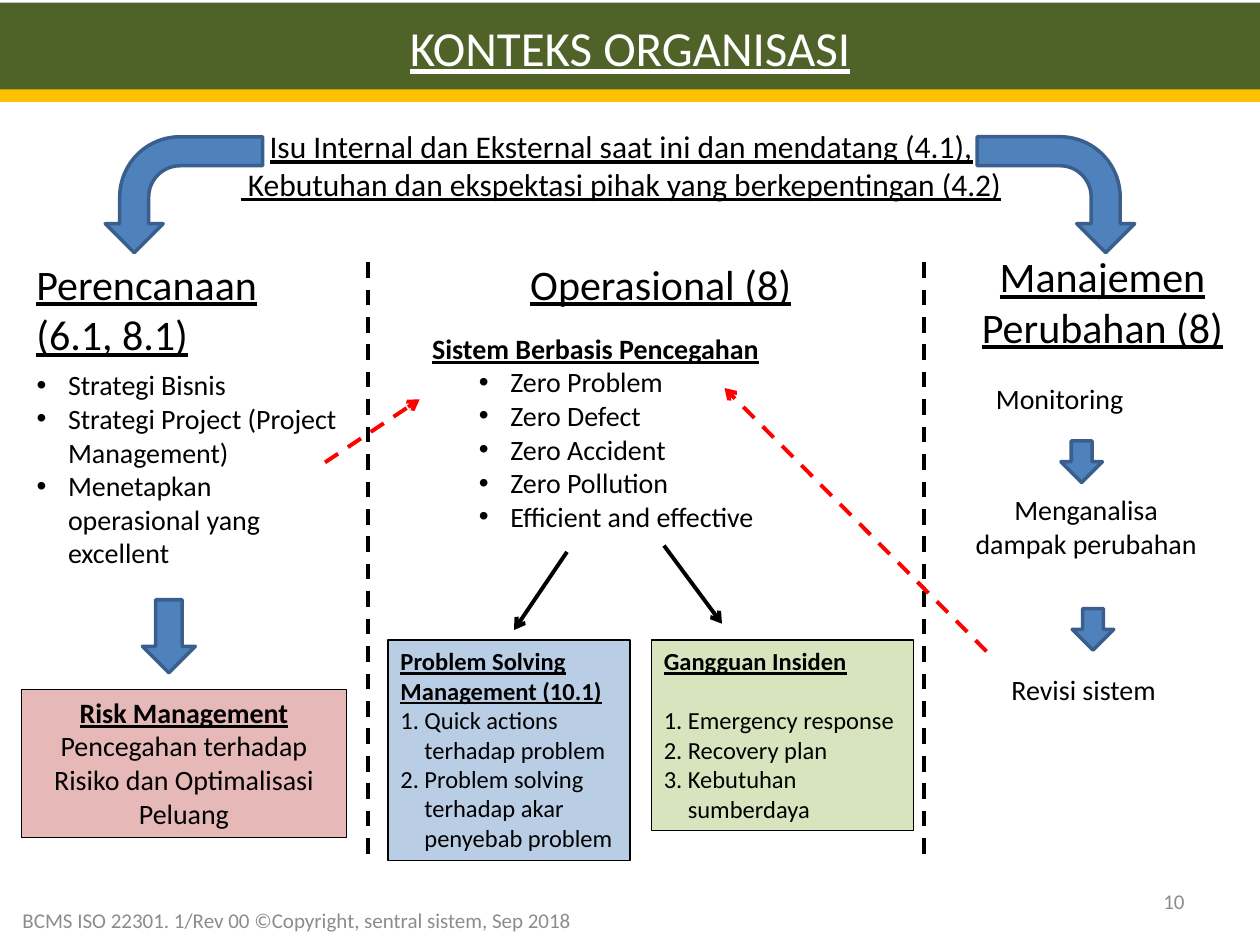
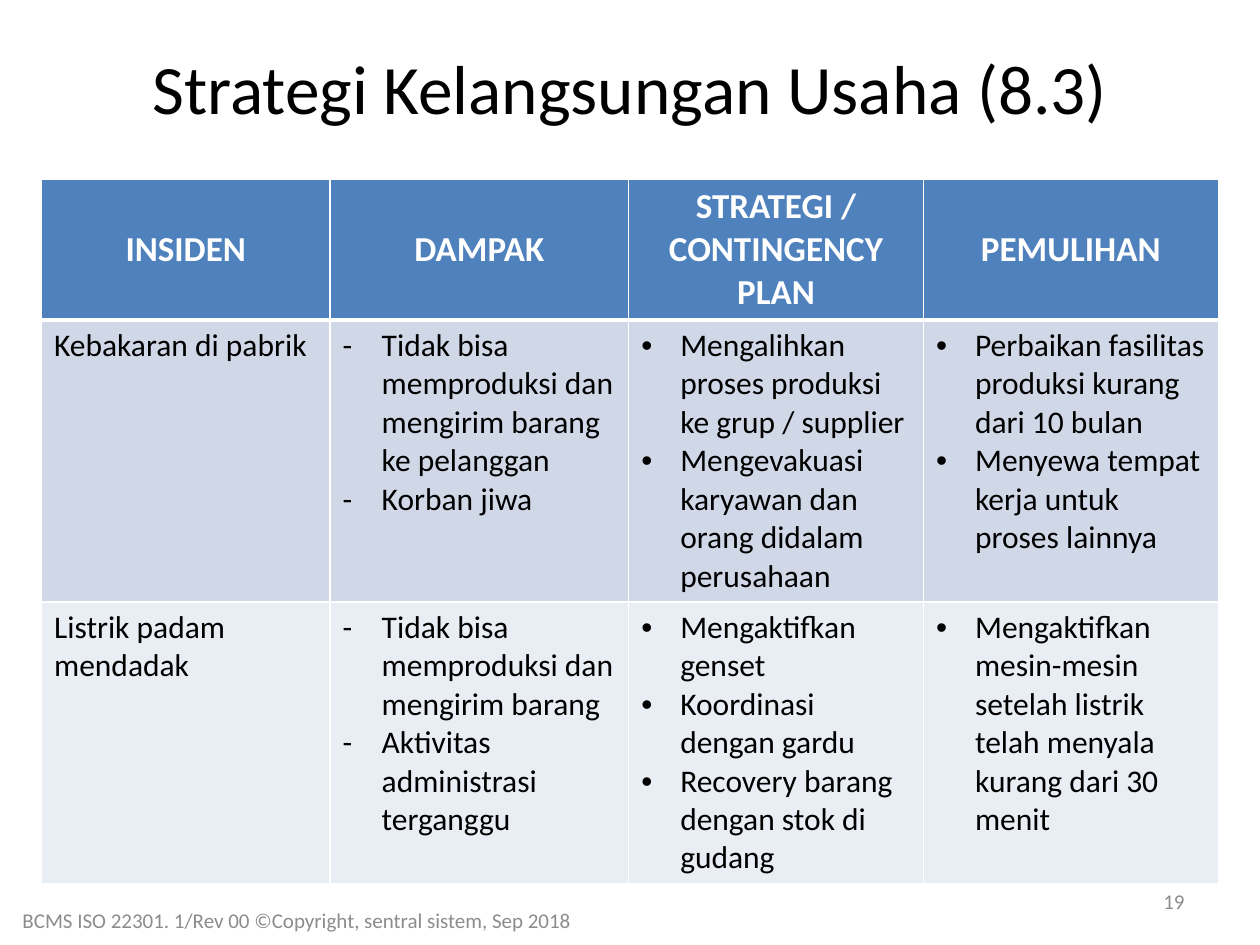
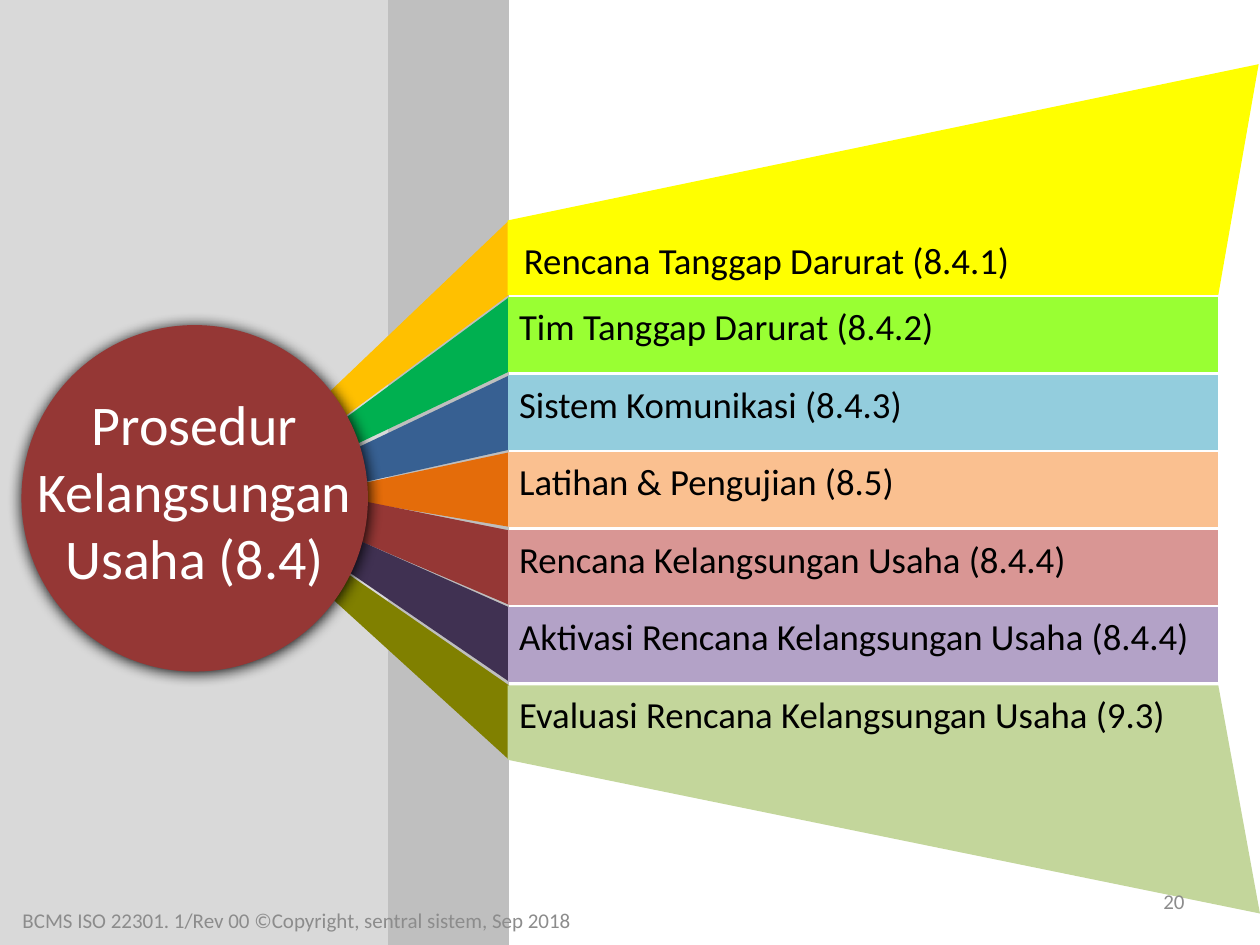
from dataclasses import dataclass

from lxml import etree
from pptx import Presentation
from pptx.dml.color import RGBColor
from pptx.enum.dml import MSO_LINE
from pptx.enum.shapes import MSO_CONNECTOR, MSO_SHAPE
from pptx.enum.text import MSO_ANCHOR, MSO_AUTO_SIZE, PP_ALIGN
from pptx.oxml.ns import qn
from pptx.util import Pt

SCALE = 9144
RECT, OVAL = MSO_SHAPE.RECTANGLE, MSO_SHAPE.OVAL
DOWN, BENT = MSO_SHAPE.DOWN_ARROW, MSO_SHAPE.BENT_ARROW
STRAIGHT, DASH = MSO_CONNECTOR.STRAIGHT, MSO_LINE.DASH
LEFT, CENTER, RIGHT = PP_ALIGN.LEFT, PP_ALIGN.CENTER, PP_ALIGN.RIGHT
TOP, MIDDLE = MSO_ANCHOR.TOP, MSO_ANCHOR.MIDDLE
NO_FIT = MSO_AUTO_SIZE.NONE
TWO_CONTENT, TITLE_ONLY = 3, 5


@dataclass(frozen=True)
class Theme:
    """Colours and type sizes of the deck."""
    font: str = "Calibri"
    ink: str = "000000"
    paper: str = "FFFFFF"
    muted: str = "8C8C8C"
    banner: str = "4F6228"
    gold: str = "FFC000"
    accent: str = "4F81BD"
    accent_line: str = "3A5F8C"
    alert: str = "FF0000"
    risk: str = "E6B9B8"
    problem: str = "B9CDE5"
    incident: str = "D7E4BD"
    table_rows: tuple = ("D0D8E8", "E9EDF4")
    side: str = "D9D9D9"
    side_dark: str = "BFBFBF"
    hub: str = "953735"
    rays: tuple = ("FFC000", "00B050", "376092", "E46C0A", "953735", "403152", "808000")
    bands: tuple = ("FFFF00", "99FF33", "93CDDD", "FAC090", "D99694", "B3A2C7", "C3D69B")
    title: float = 39.6
    hub_size: int = 32
    banner_size: int = 28
    heading: int = 24
    band_size: int = 21
    table_head: int = 20
    lead: int = 18
    body: int = 16
    small: int = 14
    footer: int = 12


def px(*values):
    """Turn px into EMU."""
    return [v * SCALE for v in values]


def rgb(value):
    """Turn a hex string into a colour."""
    return RGBColor.from_string(value)


def child(parent, tag, **attrs):
    """Append a drawing element with attributes."""
    return etree.SubElement(parent, qn(tag), {k: str(v) for k, v in attrs.items()})


class Deck:
    """Builds slides in one style."""

    def __init__(self, theme):
        """Start an empty presentation."""
        self.theme = theme
        self.prs = Presentation()
        self.prs.slide_width, self.prs.slide_height = px(1000, 750)
        self.s = None

    def slide(self, layout):
        """Add a slide and make it current."""
        self.s = self.prs.slides.add_slide(self.prs.slide_layouts[layout])

    def put(self, tf, text, size=None, color=None, bold=False, underline=False,
            align=LEFT, bullet=None, indent=0, hang=0, spacing=1.0, after=0):
        """Append one paragraph, or one for each item of a list."""
        for line in [text] if isinstance(text, str) else text:
            p = tf.paragraphs[-1]
            if p.runs:
                p = tf.add_paragraph()
            p_pr = p._p.get_or_add_pPr()
            p_pr.set("marL", str(indent * SCALE))
            p_pr.set("indent", str(-hang * SCALE))
            if bullet == "1.":
                child(p_pr, "a:buFont", typeface=self.theme.font)
                child(p_pr, "a:buAutoNum", type="arabicPeriod")
            elif bullet:
                child(p_pr, "a:buFont", typeface="Arial" if bullet == "•" else self.theme.font)
                child(p_pr, "a:buChar", char=bullet)
            else:
                child(p_pr, "a:buNone")
            p.alignment, p.line_spacing = align, spacing
            p.space_before, p.space_after = Pt(0), Pt(after)
            r = p.add_run()
            r.text = line
            f = r.font
            f.name, f.size = self.theme.font, Pt(size or self.theme.body)
            f.bold, f.underline = bold, underline
            f.color.rgb = rgb(color or self.theme.ink)

    def frame(self, sp, anchor=TOP):
        """Wrap the text of a shape at a fixed size."""
        tf = sp.text_frame
        tf.word_wrap, tf.auto_size, tf.vertical_anchor = True, NO_FIT, anchor
        return tf

    def placeholder(self, idx, box, anchor=TOP):
        """Move a template placeholder to the front and return it."""
        sp = self.s.placeholders[idx]
        sp.left, sp.top, sp.width, sp.height = px(*box)
        self.s.shapes._spTree.append(sp._element)
        self.frame(sp, anchor)
        return sp

    def title(self, text, box, fill=None, **fmt):
        """Fill the title placeholder."""
        sp = self.placeholder(0, box, MIDDLE)
        if fill:
            sp.fill.solid()
            sp.fill.fore_color.rgb = rgb(fill)
        self.put(sp.text_frame, text, align=CENTER, **fmt)

    def body(self, idx, box):
        """Return the text frame of a body placeholder."""
        return self.placeholder(idx, box).text_frame

    def text(self, text, box, anchor=TOP, **fmt):
        """Add a text box."""
        tf = self.frame(self.s.shapes.add_textbox(*px(*box)), anchor)
        self.put(tf, text, **fmt)

    def paint(self, sp, fill, line=None, width=0.75):
        """Set fill and outline and drop the shadow."""
        sp.shadow.inherit = False
        sp.fill.solid()
        sp.fill.fore_color.rgb = rgb(fill)
        if line:
            sp.line.color.rgb, sp.line.width = rgb(line), Pt(width)
        else:
            sp.line.fill.background()
        self.frame(sp)
        return sp

    def shape(self, kind, box, fill, line=None, width=0.75):
        """Add a preset shape."""
        return self.paint(self.s.shapes.add_shape(kind, *px(*box)), fill, line, width)

    def panel(self, box, fill):
        """Add an outlined box and return its text frame."""
        return self.shape(RECT, box, fill, self.theme.ink).text_frame

    def block_arrow(self, kind, box):
        """Add a blue block arrow."""
        return self.shape(kind, box, self.theme.accent, self.theme.accent_line, 2)

    def bent_arrow(self, box, flip=False):
        """Add a bent arrow that turns downwards."""
        sp = self.block_arrow(BENT, box)
        sp.rotation = 90
        sp.adjustments[3] = 0.52
        if flip:
            sp._element.spPr.xfrm.set("flipV", "1")

    def polygon(self, points, fill):
        """Add a closed outline."""
        fb = self.s.shapes.build_freeform(*points[0], scale=SCALE)
        fb.add_line_segments(points[1:], close=True)
        return self.paint(fb.convert_to_shape(), fill)

    def line(self, start, end, color=None, dashed=False, arrow=False):
        """Add a straight line or arrow."""
        c = self.s.shapes.add_connector(STRAIGHT, *px(*start, *end))
        c.line.color.rgb, c.line.width = rgb(color or self.theme.ink), Pt(2.25)
        if dashed:
            c.line.dash_style = DASH
        if arrow:
            child(c.line._get_or_add_ln(), "a:tailEnd", type="arrow")
        child(c._element.spPr, "a:effectLst")

    def cell(self, cell, fill, top=1, bottom=1):
        """Set the borders and fill of a table cell."""
        tc_pr = cell._tc.get_or_add_tcPr()
        for side, width in zip("LRTB", (1, 1, top, bottom)):
            ln = child(tc_pr, f"a:ln{side}", w=Pt(width))
            child(child(ln, "a:solidFill"), "a:srgbClr", val=self.theme.paper)
        cell.fill.solid()
        cell.fill.fore_color.rgb = rgb(fill)

    def table(self, origin, widths, heights, header, rows, bullets):
        """Add a table whose columns each have their own bullet."""
        t = self.theme
        table = self.s.shapes.add_table(len(heights), len(widths), *px(
            *origin, sum(widths), sum(heights))).table
        for col, width in zip(table.columns, widths):
            col.width = width * SCALE
        for row, height in zip(table.rows, heights):
            row.height = height * SCALE
        for c, text in enumerate(header):
            cell = table.cell(0, c)
            self.cell(cell, t.accent, bottom=3)
            cell.vertical_anchor = MIDDLE
            self.put(cell.text_frame, text, size=t.table_head, color=t.paper,
                     bold=True, align=CENTER)
        for r, (row, fill) in enumerate(zip(rows, t.table_rows), 1):
            for c, (text, bullet) in enumerate(zip(row, bullets)):
                cell = table.cell(r, c)
                self.cell(cell, fill, top=3 if r == 1 else 1)
                hang = 31 if bullet else 0
                self.put(cell.text_frame, text, size=t.lead, bullet=bullet,
                         indent=hang, hang=hang)

    def footer(self, number):
        """Add the copyright line and slide number."""
        fmt = dict(anchor=MIDDLE, size=self.theme.footer, color=self.theme.muted)
        self.text("BCMS ISO 22301. 1/Rev 00 ©Copyright, sentral sistem, Sep 2018",
                  (8, 710, 642, 40), **fmt)
        self.text(str(number), (717, 695, 233, 40), align=RIGHT, **fmt)


def context_slide(deck):
    """Build the organisation context diagram."""
    t = deck.theme
    deck.slide(TWO_CONTENT)
    deck.title("KONTEKS ORGANISASI", (0, 2, 1000, 71), fill=t.banner,
               size=t.banner_size, color=t.paper, underline=True)
    deck.shape(RECT, (0, 71, 1000, 10), t.gold)
    deck.text(["Isu Internal dan Eksternal saat ini dan mendatang (4.1),",
               " Kebutuhan dan ekspektasi pihak yang berkepentingan (4.2)"],
              (125, 96, 736, 71), size=t.lead, underline=True, align=CENTER)

    for text, box, align in (
            ("Perencanaan (6.1, 8.1)", (19, 200, 254, 91), LEFT),
            ("Operasional (8)", (411, 200, 238, 50), LEFT),
            ("Manajemen Perubahan (8)", (756, 194, 238, 91), CENTER)):
        deck.text(text, box, size=t.heading, underline=True, align=align)
    deck.put(deck.body(1, (19, 287, 267, 172)),
             ["Strategi Bisnis", "Strategi Project (Project Management)",
              "Menetapkan operasional yang excellent"],
             bullet="•", indent=25, hang=25)
    tf = deck.body(2, (333, 258, 375, 172))
    deck.put(tf, "Sistem Berbasis Pencegahan", bold=True, underline=True)
    deck.put(tf, ["Zero Problem", "Zero Defect", "Zero Accident", "Zero Pollution",
                  "Efficient and effective"], bullet="•", indent=62, hang=25)
    for text, box in (("Monitoring", (737, 298, 208, 37)),
                      ("Menganalisa dampak perubahan", (758, 386, 208, 64)),
                      ("Revisi sistem", (756, 529, 208, 37))):
        deck.text(text, box, align=CENTER)

    tf = deck.panel((17, 547, 258, 118), t.risk)
    deck.put(tf, "Risk Management", bold=True, underline=True, align=CENTER)
    deck.put(tf, "Pencegahan terhadap Risiko dan Optimalisasi Peluang", align=CENTER)
    for box, fill, heading, after, items in (
            ((308, 508, 192, 175), t.problem, "Problem Solving Management (10.1)", 0,
             ["Quick actions terhadap problem",
              "Problem solving terhadap akar penyebab problem"]),
            ((517, 508, 208, 151), t.incident, "Gangguan Insiden", 17,
             ["Emergency response", "Recovery plan", "Kebutuhan sumberdaya"])):
        tf = deck.panel(box, fill)
        deck.put(tf, heading, size=t.small, bold=True, underline=True, after=after)
        deck.put(tf, items, size=t.small, bullet="1.", indent=19, hang=19)

    for box in ((113, 476, 42, 58), (842, 350, 33, 33), (851, 483, 33, 33)):
        deck.block_arrow(DOWN, box)
    deck.bent_arrow((792, 92, 92, 125))
    deck.bent_arrow((100, 92, 92, 125), flip=True)
    for x in (292, 733):
        deck.line((x, 208), (x, 683), dashed=True)
    deck.line((450, 438), (408, 500), arrow=True)
    deck.line((527, 433), (573, 495), arrow=True)
    deck.line((783, 517), (575, 308), t.alert, dashed=True, arrow=True)
    deck.line((258, 367), (333, 317), t.alert, dashed=True, arrow=True)
    deck.footer(10)


def strategy_slide(deck):
    """Build the continuity strategy table."""
    deck.slide(TITLE_ONLY)
    deck.title("Strategi Kelangsungan Usaha (8.3)", (50, 30, 900, 78),
               size=deck.theme.title)
    rows = (
        ("Kebakaran di pabrik",
         ["Tidak bisa memproduksi dan mengirim barang ke pelanggan", "Korban jiwa"],
         ["Mengalihkan proses produksi ke grup / supplier",
          "Mengevakuasi karyawan dan orang didalam perusahaan"],
         ["Perbaikan fasilitas produksi kurang dari 10 bulan",
          "Menyewa tempat kerja untuk proses lainnya"]),
        ("Listrik padam mendadak",
         ["Tidak bisa memproduksi dan mengirim barang",
          "Aktivitas administrasi terganggu"],
         ["Mengaktifkan genset", "Koordinasi dengan gardu",
          "Recovery barang dengan stok di gudang"],
         "Mengaktifkan mesin-mesin setelah listrik telah menyala kurang dari 30 menit"))
    deck.table((33, 142), (229, 237, 234, 234), (112, 223, 223),
               ("INSIDEN", "DAMPAK", "STRATEGI / CONTINGENCY PLAN", "PEMULIHAN"),
               rows, (None, "-", "•", "•"))
    deck.footer(19)


def procedure_slide(deck):
    """Build the fan of continuity procedures."""
    t = deck.theme
    deck.slide(TITLE_ONLY)
    deck.shape(RECT, (0, 0, 308, 750), t.side)
    deck.shape(RECT, (308, 0, 96, 750), t.side_dark)

    labels = ("Rencana Tanggap Darurat (8.4.1)", "Tim Tanggap Darurat (8.4.2)",
              "Sistem Komunikasi (8.4.3)", "Latihan & Pengujian (8.5)",
              "Rencana Kelangsungan Usaha (8.4.4)",
              "Aktivasi Rencana Kelangsungan Usaha (8.4.4)",
              "Evaluasi Rencana Kelangsungan Usaha (9.3)")
    ray_tips = (((226, 345), (223, 368)), ((228, 366), (221, 382)),
                ((215, 388), (216, 399)), ((257, 390), (237, 390)),
                ((220, 384), (219, 401)), ((222, 401), (227, 420)),
                ((222, 418), (225, 440)))
    edges = [(top, top + 59) for top in (175 + i * 123 // 2 for i in range(len(labels)))]
    for i in (3, 4, 5, 6, 2, 1, 0):
        top, bottom = edges[i]
        upper, lower = ray_tips[i]
        deck.polygon([upper, lower, (404, bottom), (404, top)], t.rays[i])

    hub = deck.shape(OVAL, (17, 258, 275, 275), t.hub)
    effects = hub._element.spPr.find(qn("a:effectLst"))
    shadow = child(effects, "a:outerShdw", blurRad=12 * SCALE, dist=SCALE,
                   dir=5400000, rotWithShape=0)
    child(shadow, "a:srgbClr", val=t.ink)

    fmt = dict(size=t.band_size, spacing=0.9)
    first, last = 0, len(labels) - 1
    for i, (label, (top, bottom)) in enumerate(zip(labels, edges)):
        upper = (999, 51) if i == first else (967, top)
        lower = (1000, 725) if i == last else (967, bottom)
        band = deck.polygon([(403, top), upper, lower, (403, bottom)], t.bands[i])
        if i == first:
            deck.text(label, (406, 188, 408, 42), **fmt)
        else:
            tf = band.text_frame
            tf.margin_left, tf.margin_top, tf.margin_right, tf.margin_bottom = px(9, 9, 9, 9)
            deck.put(tf, label, **fmt)
    deck.title("Prosedur Kelangsungan Usaha (8.4)", (17, 303, 275, 172),
               size=t.hub_size, color=t.paper)
    deck.footer(20)


def main():
    """Build and save the deck."""
    deck = Deck(Theme())
    context_slide(deck)
    strategy_slide(deck)
    procedure_slide(deck)
    deck.prs.save("out.pptx")


if __name__ == "__main__":
    main()
